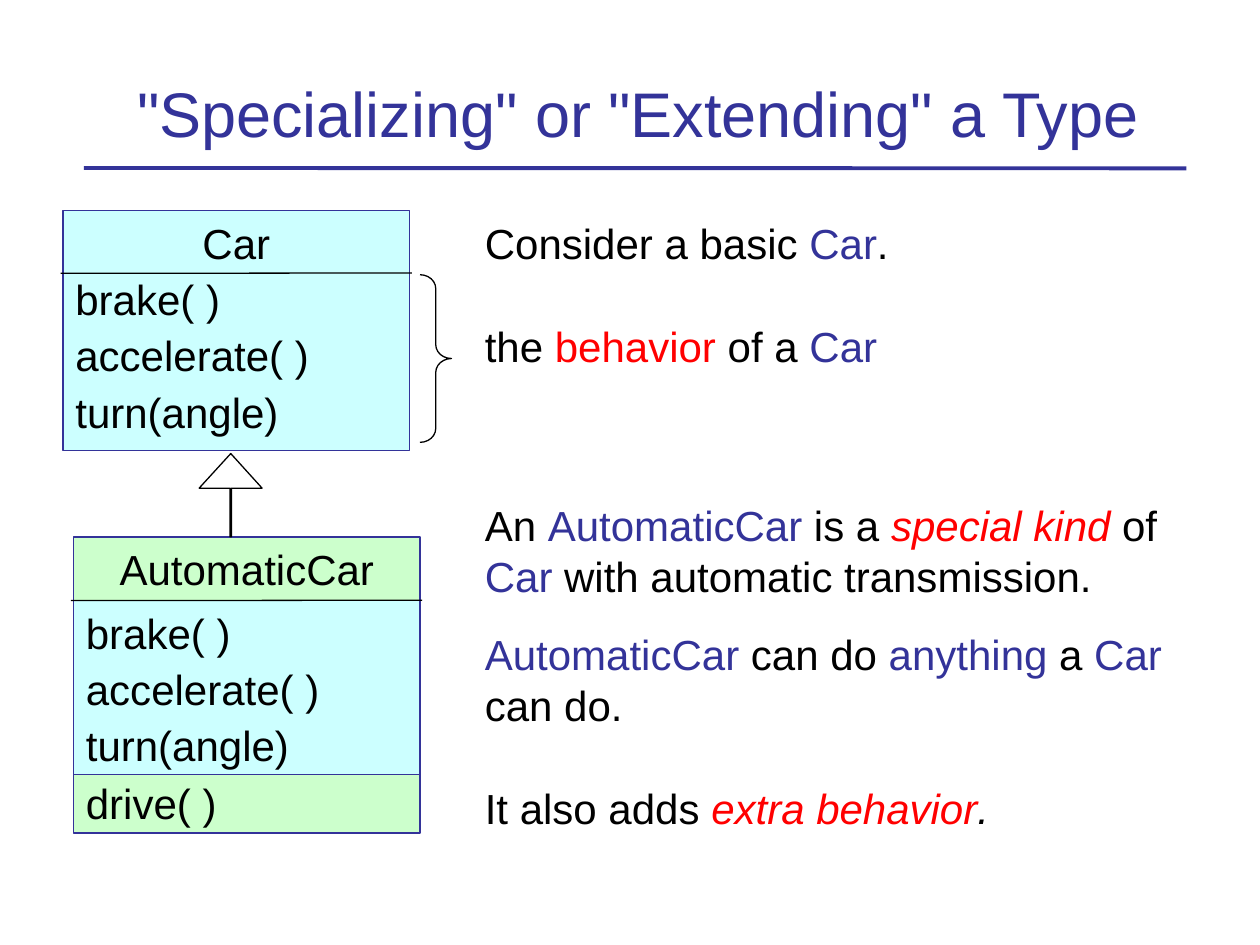
"""Build a slide on specializing a Car type into an AutomaticCar."""
from dataclasses import dataclass
from typing import Optional

from lxml.etree import SubElement
from pptx import Presentation
from pptx.dml.color import RGBColor
from pptx.enum.shapes import MSO_CONNECTOR, MSO_SHAPE
from pptx.enum.text import MSO_ANCHOR, PP_ALIGN
from pptx.oxml.ns import qn
from pptx.util import Pt

BLACK = RGBColor(0x00, 0x00, 0x00)
BLUE = RGBColor(0x33, 0x33, 0x99)
RED = RGBColor(0xFF, 0x00, 0x00)
CYAN = RGBColor(0xCC, 0xFF, 0xFF)
GREEN = RGBColor(0xCC, 0xFF, 0xCC)
FONT = "Arial"
THIN = 0.74
BODY_PITCH = 29.2


@dataclass
class Run:
    text: str
    color: RGBColor = BLACK
    italic: bool = False


@dataclass
class Line:
    runs: list[Run]
    before: float = 0
    align: PP_ALIGN = PP_ALIGN.LEFT


@dataclass
class Box:
    left: float
    top: float
    width: float
    height: float
    lines: list[Line]
    fill: Optional[RGBColor] = None


@dataclass
class Rule:
    x1: float
    y1: float
    x2: float
    y2: float
    color: RGBColor = BLACK
    width: float = THIN


def heading(text: str, color: RGBColor = BLACK) -> Line:
    return Line([Run(text, color)], align=PP_ALIGN.CENTER)


def members(*names: str, first: float = 3) -> list[Line]:
    return [Line([Run(name)], 3 if index else first) for index, name in enumerate(names)]


def write_text(shape, lines: list[Line], *, size: float = 24,
               pitch: Optional[float] = BODY_PITCH,
               anchor: MSO_ANCHOR = MSO_ANCHOR.TOP) -> None:
    frame = shape.text_frame
    frame.word_wrap = True
    frame.vertical_anchor = anchor
    for index, line in enumerate(lines):
        paragraph = frame.add_paragraph() if index else frame.paragraphs[0]
        paragraph.alignment = line.align
        paragraph.space_before = Pt(line.before)
        if pitch:
            paragraph.line_spacing = Pt(pitch)
        for item in line.runs:
            run = paragraph.add_run()
            run.text = item.text
            run.font.name = FONT
            run.font.size = Pt(size)
            run.font.italic = item.italic
            run.font.color.rgb = item.color


def add_box(slide, box: Box, **text_format) -> None:
    place = [Pt(value) for value in (box.left, box.top, box.width, box.height)]
    if box.fill is None:
        shape = slide.shapes.add_textbox(*place)
    else:
        shape = slide.shapes.add_shape(MSO_SHAPE.RECTANGLE, *place)
        shape.shadow.inherit = False
        shape.fill.solid()
        shape.fill.fore_color.rgb = box.fill
        shape.line.color.rgb = BLUE
        shape.line.width = Pt(THIN)
    write_text(shape, box.lines, **text_format)


def add_rule(slide, rule: Rule) -> None:
    ends = [Pt(value) for value in (rule.x1, rule.y1, rule.x2, rule.y2)]
    connector = slide.shapes.add_connector(MSO_CONNECTOR.STRAIGHT, *ends)
    connector.line.color.rgb = rule.color
    connector.line.width = Pt(rule.width)
    SubElement(connector._element.spPr, qn("a:effectLst"))


def outline_only(shape) -> None:
    shape.shadow.inherit = False
    shape.fill.background()
    shape.line.color.rgb = BLACK
    shape.line.width = Pt(THIN)


def add_brace(slide) -> None:
    brace = slide.shapes.add_shape(MSO_SHAPE.RIGHT_BRACE, Pt(240), Pt(157), Pt(18), Pt(95.8))
    brace.adjustments[0] = 0.44
    outline_only(brace)


def add_inheritance_arrow(slide) -> None:
    points = [(131.5, 306.7), (131.5, 279), (113.8, 279), (131.9, 259.2),
              (149.8, 279), (132.3, 279), (132.3, 306.7)]
    start, *rest = [(Pt(x), Pt(y)) for x, y in points]
    builder = slide.shapes.build_freeform(*start)
    builder.add_line_segments(rest, close=True)
    outline_only(builder.convert_to_shape())


METHODS = ("brake( )", "accelerate( )", "turn(angle)")
TITLE = Box(57.6, 21.6, 614.2, 67.7, [heading('"Specializing" or "Extending" a Type', BLUE)])
NOTES = Box(270, 120.2, 432, 357.8, [
    Line([Run("Consider a basic "), Run("Car", BLUE), Run(".")]),
    Line([Run("the "), Run("behavior", RED), Run(" of a "), Run("Car", BLUE)], 30),
    Line([Run("An "), Run("AutomaticCar", BLUE), Run(" is a "),
          Run("special kind", RED, True), Run(" of "), Run("Car", BLUE),
          Run(" with automatic transmission.")], 73),
    Line([Run("AutomaticCar", BLUE), Run(" can do "), Run("anything", BLUE),
          Run(" a "), Run("Car", BLUE), Run(" can do.")], 15),
    Line([Run("It also adds "), Run("extra behavior", RED, True),
          Run(".", italic=True)], 30),
])
CAR = Box(36, 120.2, 198, 137.3, [heading("Car"), *members(*METHODS)], CYAN)
AUTOMATIC_CAR = Box(42, 306.9, 198, 169.2,
                    [heading("AutomaticCar"), *members("drive( )", first=104)], GREEN)
INHERITED = Box(42, 343, 198, 99.6, members(*METHODS, first=0), CYAN)


def main() -> None:
    presentation = Presentation()
    presentation.slide_width, presentation.slide_height = Pt(720), Pt(540)
    slide = presentation.slides.add_slide(presentation.slide_layouts[6])
    add_rule(slide, Rule(48, 96, 678, 96.2, BLUE, 2.24))
    add_box(slide, TITLE, size=36, pitch=None, anchor=MSO_ANCHOR.BOTTOM)
    for box in (NOTES, CAR, AUTOMATIC_CAR, INHERITED):
        add_box(slide, box)
    for rule in (Rule(34.6, 156.2, 235.4, 156), Rule(40.5, 343.2, 241.3, 343)):
        add_rule(slide, rule)
    add_brace(slide)
    add_inheritance_arrow(slide)
    presentation.save("out.pptx")


main()
